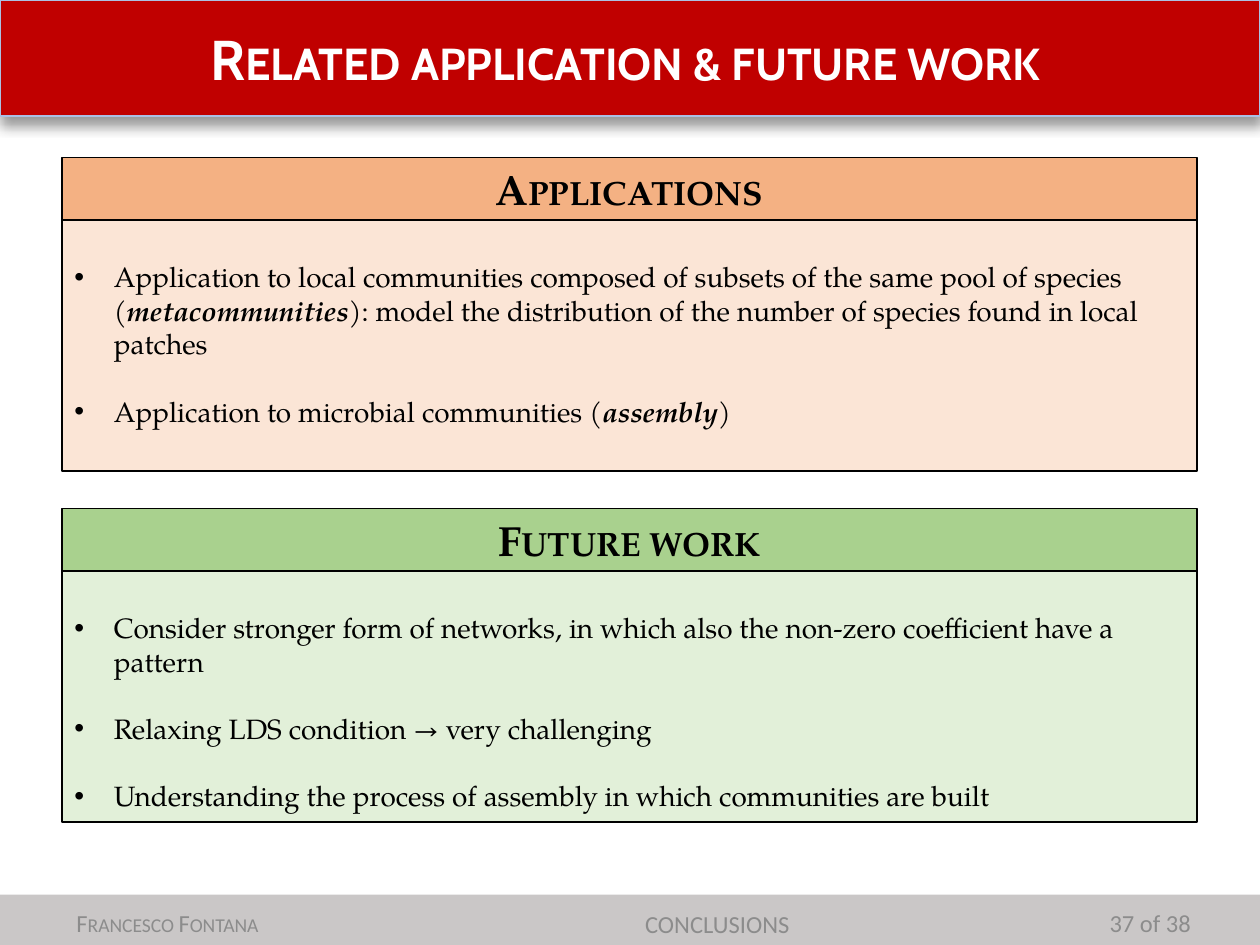
from pptx import Presentation
from pptx.dml.color import RGBColor
from pptx.enum.shapes import MSO_SHAPE as Shape
from pptx.enum.text import MSO_ANCHOR as Anchor, PP_ALIGN as Align
from pptx.oxml import parse_xml
from pptx.oxml.ns import nsdecls, qn
from pptx.util import Pt
from lxml.etree import SubElement

COLORS = {
    "black": "000000", "white": "FFFFFF",
    "banner": "C00000", "banner_line": "ABC0E4",
    "footer": "AFABAB", "footer_text": "8C8C8C",
    "orange": "F4B183", "pale_orange": "FBE5D6",
    "green": "A9D18E", "pale_green": "E2F0D9",
}
SERIF, TITLE_FONT, FOOTER_FONT = "TeX Gyre Pagella", "Cabin", "Calibri"

PANEL_LEFT, PANEL_WIDTH = 35.5, 648.5
HEADING_HEIGHT, BODY_HEIGHT = 35.7, 143.4
BODY_LINE = 19.2  # height of one 16 pt line
INDENT = 22.5

# Each bullet is a list of (text, emphasised) pieces
PANELS = [
    ("Applications", 90, "orange", "pale_orange", [
        [("Application to local communities composed of subsets of the same "
          "pool of species (", False),
         ("metacommunities", True),
         ("): model the distribution of the number of species found in local "
          "patches", False)],
        [("Application to microbial communities (", False),
         ("assembly", True), (")", False)],
    ]),
    ("Future work", 290.6, "green", "pale_green", [
        [("Consider stronger form of networks, in which also the non-zero "
          "coefficient have a pattern", False)],
        [("Relaxing LDS condition → very challenging", False)],
        [("Understanding the process of assembly in which communities are "
          "built", False)],
    ]),
]

FOOTERS = [
    ("Francesco Fontana", 0, 512.6, 191.5, Align.CENTER, True),
    ("CONCLUSIONS", 272.9, 513.4, 191.5, Align.CENTER, True),
    ("37 of 38", 617.8, 512.6, 69.8, Align.RIGHT, False),
]


def rgb(name):
    return RGBColor.from_string(COLORS[name])


def add_box(slide, left, top, width, height, fill, line=None, line_width=0.75):
    box = slide.shapes.add_shape(
        Shape.RECTANGLE, Pt(left), Pt(top), Pt(width), Pt(height))
    box.shadow.inherit = False
    box.fill.solid()
    box.fill.fore_color.rgb = rgb(fill)
    if line:
        box.line.color.rgb = rgb(line)
        box.line.width = Pt(line_width)
    else:
        box.line.fill.background()
    return box


def style_run(run, font, size, color, bold=False, italic=False, small_caps=False):
    run.font.name, run.font.size = font, Pt(size)
    run.font.bold, run.font.italic = bold, italic
    run.font.color.rgb = rgb(color)
    if small_caps:
        run._r.get_or_add_rPr().set("cap", "small")


def set_line(shape, text, align, anchor, **style):
    frame = shape.text_frame
    frame.word_wrap = True
    frame.vertical_anchor = anchor
    paragraph = frame.paragraphs[0]
    paragraph.text = text
    paragraph.alignment = align
    style_run(paragraph.runs[0], **style)


def set_bullet(paragraph):
    properties = paragraph._p.get_or_add_pPr()
    properties.set("marL", str(Pt(INDENT)))
    properties.set("indent", str(-Pt(INDENT)))
    SubElement(properties, qn("a:buFont")).set("typeface", "Arial")
    SubElement(properties, qn("a:buChar")).set("char", "•")


def add_banner(slide, title):
    banner = add_box(slide, 0, 0, 720, 66.2, "banner", "banner_line", 1)
    effects = banner._element.spPr.find(qn("a:effectLst"))
    effects.append(parse_xml(
        f'<a:outerShdw {nsdecls("a")} blurRad="{Pt(7)}" dist="{Pt(5)}" '
        'dir="5400000" algn="t" rotWithShape="0"><a:srgbClr val="000000">'
        '<a:alpha val="40000"/></a:srgbClr></a:outerShdw>'))
    banner.text_frame.margin_right = Pt(12.5)
    set_line(banner, title, Align.CENTER, Anchor.MIDDLE, font=TITLE_FONT,
             size=32, color="white", bold=True, small_caps=True)


def add_panel(slide, heading, top, heading_fill, body_fill, bullets):
    head = add_box(slide, PANEL_LEFT, top, PANEL_WIDTH, HEADING_HEIGHT,
                   heading_fill, "black")
    set_line(head, heading, Align.CENTER, Anchor.TOP, font=SERIF, size=24,
             color="black", bold=True, small_caps=True)

    body = add_box(slide, PANEL_LEFT, top + HEADING_HEIGHT, PANEL_WIDTH,
                   BODY_HEIGHT, body_fill, "black")
    frame = body.text_frame
    frame.word_wrap = True
    frame.vertical_anchor = Anchor.TOP
    frame.margin_top = Pt(3.6 + BODY_LINE)
    for index, pieces in enumerate(bullets):
        paragraph = frame.add_paragraph() if index else frame.paragraphs[0]
        paragraph.alignment = Align.LEFT
        if index:
            paragraph.space_before = Pt(BODY_LINE)
        set_bullet(paragraph)
        for text, emphasised in pieces:
            run = paragraph.add_run()
            run.text = text
            style_run(run, SERIF, 16, "black", emphasised, emphasised)


def add_footer(slide):
    strip = add_box(slide, 0, 511.2, 720, 28.8, "footer")
    color = strip._element.spPr.find(qn("a:solidFill")).find(qn("a:srgbClr"))
    SubElement(color, qn("a:alpha")).set("val", "66000")
    for text, left, top, width, align, small_caps in FOOTERS:
        label = slide.shapes.add_textbox(Pt(left), Pt(top), Pt(width), Pt(28.8))
        set_line(label, text, align, Anchor.MIDDLE, font=FOOTER_FONT, size=14,
                 color="footer_text", small_caps=small_caps)


def main():
    deck = Presentation()
    deck.slide_width, deck.slide_height = Pt(720), Pt(540)
    slide = deck.slides.add_slide(deck.slide_layouts[6])
    add_banner(slide, "Related application & future work")
    for panel in PANELS:
        add_panel(slide, *panel)
    add_footer(slide)
    deck.save("out.pptx")


if __name__ == "__main__":
    main()
